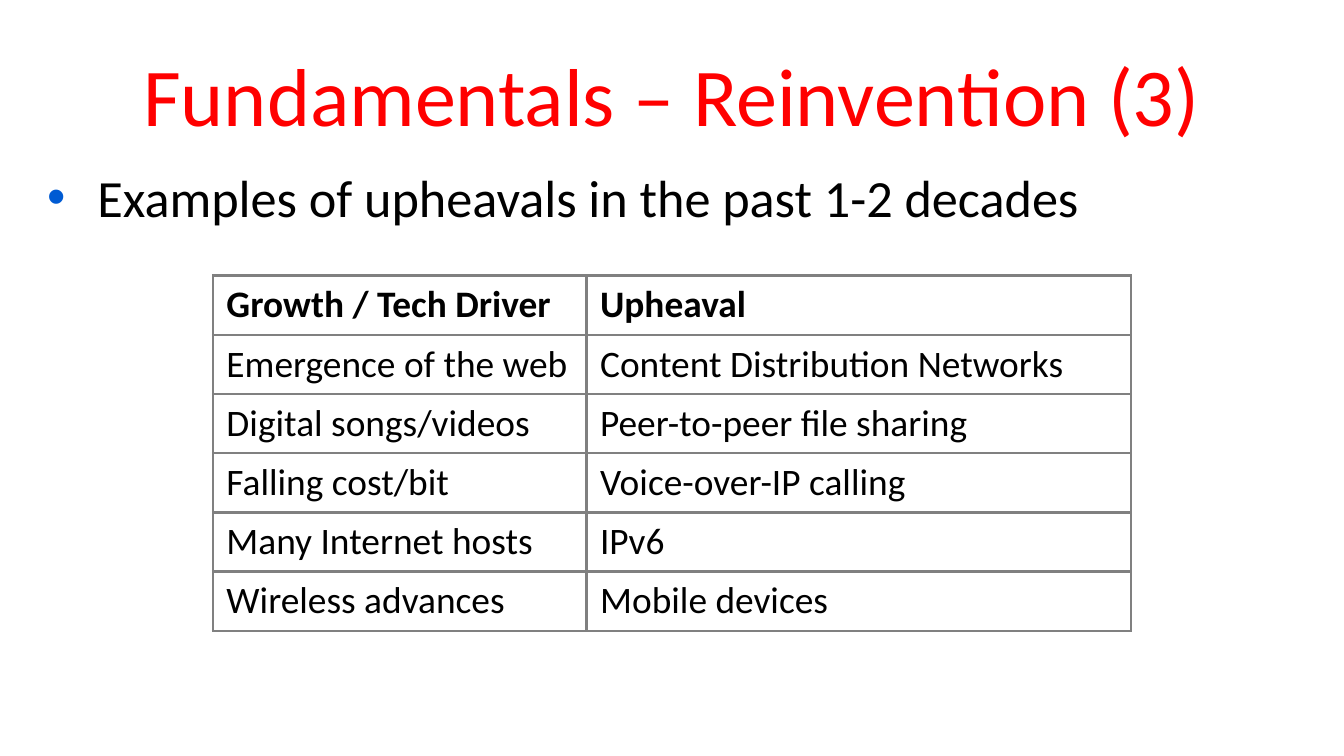
"""Build the slide on network upheavals: title, one bullet and a bordered table."""
from dataclasses import dataclass

from lxml.etree import SubElement
from pptx import Presentation
from pptx.dml.color import RGBColor
from pptx.enum.text import MSO_ANCHOR, MSO_AUTO_SIZE, PP_ALIGN
from pptx.oxml.ns import qn
from pptx.util import Inches, Pt


@dataclass(frozen=True)
class Theme:
    font: str = "Calibri"
    title: str = "FF0000"
    text: str = "000000"
    bullet: str = "005BD3"
    border: str = "808080"
    title_size: int = 44
    body_size: int = 28
    table_size: int = 20
    indent: int = 27
    border_width: float = 1.5


def style(p, size, color, bold=False):
    for r in p.runs:
        r.font.name, r.font.size, r.font.bold = theme.font, Pt(size), bold
        r.font.color.rgb = RGBColor.from_string(color)


def add_color(parent, tag, color):
    SubElement(SubElement(parent, qn(tag)), qn("a:srgbClr"), val=color)


theme = Theme()
rows = [
    ("Growth / Tech Driver", "Upheaval"),
    ("Emergence of the web", "Content Distribution Networks"),
    ("Digital songs/videos", "Peer-to-peer file sharing"),
    ("Falling cost/bit", "Voice-over-IP calling"),
    ("Many Internet hosts", "IPv6"),
    ("Wireless advances", "Mobile devices"),
]
col_widths = [Inches(2.78), Inches(4.05)]
row_height = Inches(0.42)
margin = Inches(0.25)

prs = Presentation()
prs.slide_width = Inches(10)
prs.slide_height = prs.slide_width * 9 // 16
s = prs.slides.add_slide(prs.slide_layouts[1])
title, body = s.placeholders
content_width = prs.slide_width - 2 * margin

for sp, top, height, text in (
    (title, 0.23, 0.94, "Fundamentals – Reinvention (3)"),
    (body, 1.18, 3.71, "Examples of upheavals in the past 1-2 decades"),
):
    sp.left, sp.top, sp.width, sp.height = margin, Inches(top), content_width, Inches(height)
    sp.text_frame.text = text
    sp.text_frame.auto_size = MSO_AUTO_SIZE.NONE

title.text_frame.vertical_anchor = MSO_ANCHOR.MIDDLE
p = title.text_frame.paragraphs[0]
p.alignment = PP_ALIGN.CENTER
style(p, theme.title_size, theme.title)

p = body.text_frame.paragraphs[0]
style(p, theme.body_size, theme.text)
pPr = p._p.get_or_add_pPr()
pPr.set("marL", str(Pt(theme.indent)))
pPr.set("indent", str(-Pt(theme.indent)))
add_color(pPr, "a:buClr", theme.bullet)
SubElement(pPr, qn("a:buFont"), typeface="Arial")
SubElement(pPr, qn("a:buChar"), char="•")

table_width = sum(col_widths)
table = s.shapes.add_table(
    len(rows), len(col_widths), (prs.slide_width - table_width) // 2, Inches(2.05),
    table_width, row_height * len(rows),
).table
table.horz_banding = False
for col, width in zip(table.columns, col_widths):
    col.width = width

for i, row in enumerate(rows):
    for j, text in enumerate(row):
        cell = table.cell(i, j)
        cell.text_frame.text = text
        style(cell.text_frame.paragraphs[0], theme.table_size, theme.text, bold=i == 0)
        tcPr = cell._tc.get_or_add_tcPr()
        for side in ("a:lnL", "a:lnR", "a:lnT", "a:lnB"):
            ln = SubElement(tcPr, qn(side), w=str(Pt(theme.border_width)))
            add_color(ln, "a:solidFill", theme.border)
        cell.fill.background()

prs.save("out.pptx")
